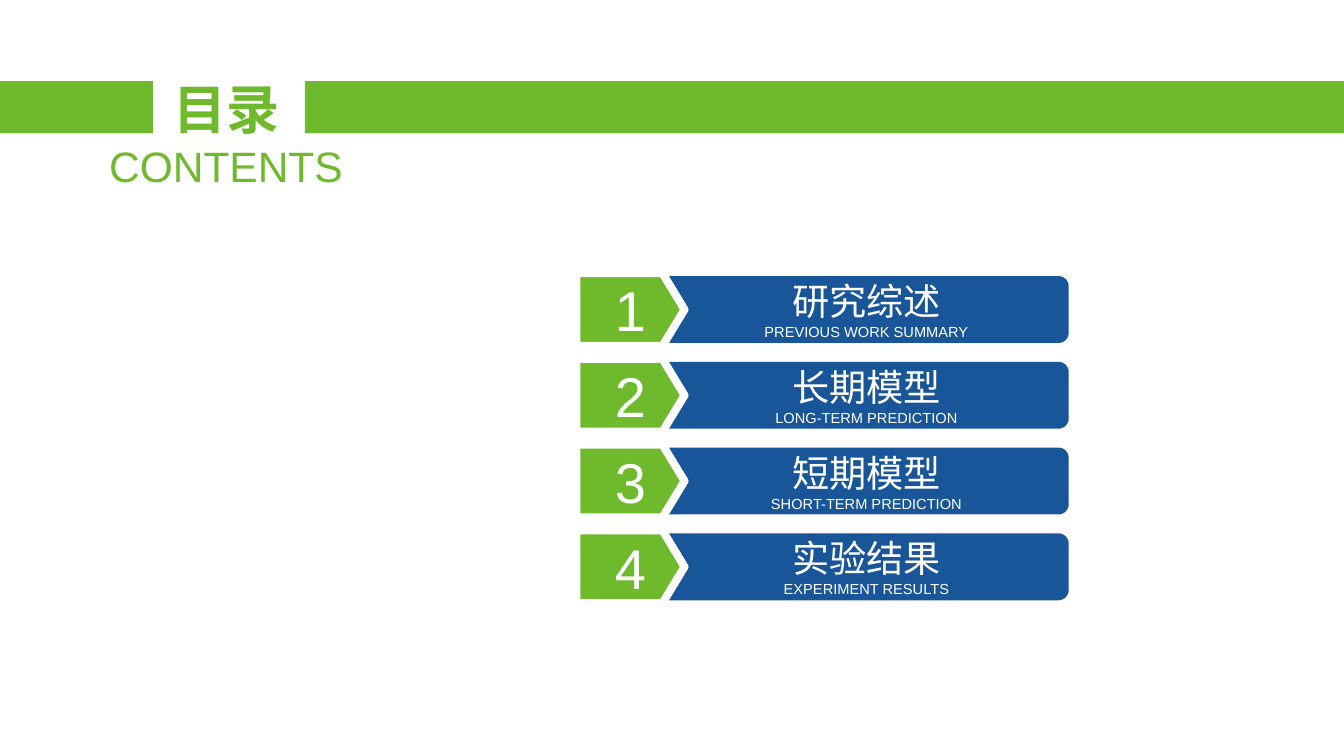
from math import cos, radians, sin

from lxml.etree import SubElement
from pptx import Presentation
from pptx.dml.color import RGBColor
from pptx.enum.shapes import MSO_SHAPE
from pptx.enum.text import MSO_ANCHOR, MSO_AUTO_SIZE, PP_ALIGN
from pptx.oxml.ns import qn
from pptx.util import Pt

GREEN, BLUE, WHITE = "6EB92C", "01438E", "FFFFFF"


def paint(color_format, hex_color):
    color_format.rgb = RGBColor.from_string(hex_color)


def write(shape, text, sizes, color, bold=False, anchor=MSO_ANCHOR.MIDDLE):
    frame = shape.text_frame
    frame.text = text
    frame.word_wrap = True
    frame.auto_size = MSO_AUTO_SIZE.NONE
    frame.vertical_anchor = anchor
    frame.margin_left = frame.margin_right = frame.margin_top = frame.margin_bottom = 0
    for paragraph, size in zip(frame.paragraphs, sizes):
        paragraph.alignment = PP_ALIGN.CENTER
        font = paragraph.runs[0].font
        font.name, font.size, font.bold = "Arial", Pt(size), bold
        paint(font.color, color)


prs = Presentation()
prs.slide_width, prs.slide_height = Pt(1012.32), Pt(569.52)
slide = prs.slides.add_slide(prs.slide_layouts[5])
shapes = slide.shapes

# Heading
heading = shapes.title
heading.left, heading.top, heading.width, heading.height = Pt(125.3), Pt(57.6), Pt(90), Pt(48.2)
write(heading, "目录", [40], GREEN, bold=True)

subheading = shapes.add_textbox(Pt(67.7), Pt(105.8), Pt(205.2), Pt(38.9))
write(subheading, "CONTENTS", [32], GREEN, anchor=MSO_ANCHOR.TOP)

# Green band on both sides of the heading
for left, right in [(0, 115.2), (229.7, 1012.32)]:
    band = shapes.add_shape(MSO_SHAPE.RECTANGLE, Pt(left), Pt(61.2), Pt(right - left), Pt(39.2))
    band.shadow.inherit = False
    band.fill.solid()
    paint(band.fill.fore_color, GREEN)
    band.line.fill.background()

# Agenda entries
entries = [
    ("研究综述", "PREVIOUS WORK SUMMARY"),
    ("长期模型", "LONG-TERM PREDICTION"),
    ("短期模型", "SHORT-TERM PREDICTION"),
    ("实验结果", "EXPERIMENT RESULTS"),
]
ENTRY_TOP, ENTRY_PITCH = 208, 64.6
BAR_LEFT, BAR_RIGHT, BAR_HEIGHT, RADIUS = 500.4, 805, 50.4, 7.8
NUMBER_LEFT, NUMBER_WIDTH, NUMBER_HEIGHT, TIP = 434.2, 81.4, 54.8, 16.6

for index, (topic, translation) in enumerate(entries):
    top = ENTRY_TOP + index * ENTRY_PITCH
    bottom = top + BAR_HEIGHT

    # Blue bar, rounded at its right corners
    outline = []
    for center_y, start in [(top + RADIUS, -90), (bottom - RADIUS, 0)]:
        for angle in range(start, start + 91, 10):
            x = BAR_RIGHT - RADIUS + RADIUS * cos(radians(angle))
            y = center_y + RADIUS * sin(radians(angle))
            outline.append((Pt(x), Pt(y)))
    outline.append((Pt(BAR_LEFT), Pt(bottom)))
    builder = shapes.build_freeform(Pt(BAR_LEFT), Pt(top))
    builder.add_line_segments(outline, close=True)
    bar = builder.convert_to_shape()
    bar.shadow.inherit = False
    bar.fill.solid()
    paint(bar.fill.fore_color, BLUE)
    bar_color = bar.fill._xPr.find(qn("a:solidFill")).find(qn("a:srgbClr"))
    SubElement(bar_color, qn("a:alpha")).set("val", "90000")
    bar.line.fill.background()
    write(bar, f"{topic}\n{translation}", [28, 11], WHITE)

    # Green number arrow
    number = shapes.add_shape(
        MSO_SHAPE.PENTAGON, Pt(NUMBER_LEFT), Pt(top - (NUMBER_HEIGHT - BAR_HEIGHT) / 2),
        Pt(NUMBER_WIDTH), Pt(NUMBER_HEIGHT))
    number.adjustments[0] = TIP / NUMBER_HEIGHT
    number.shadow.inherit = False
    number.fill.solid()
    paint(number.fill.fore_color, GREEN)
    paint(number.line.color, WHITE)
    number.line.width = Pt(6)
    write(number, str(index + 1), [42.2], WHITE)
    number.text_frame.margin_left = Pt(TIP / 2)

prs.save("out.pptx")
